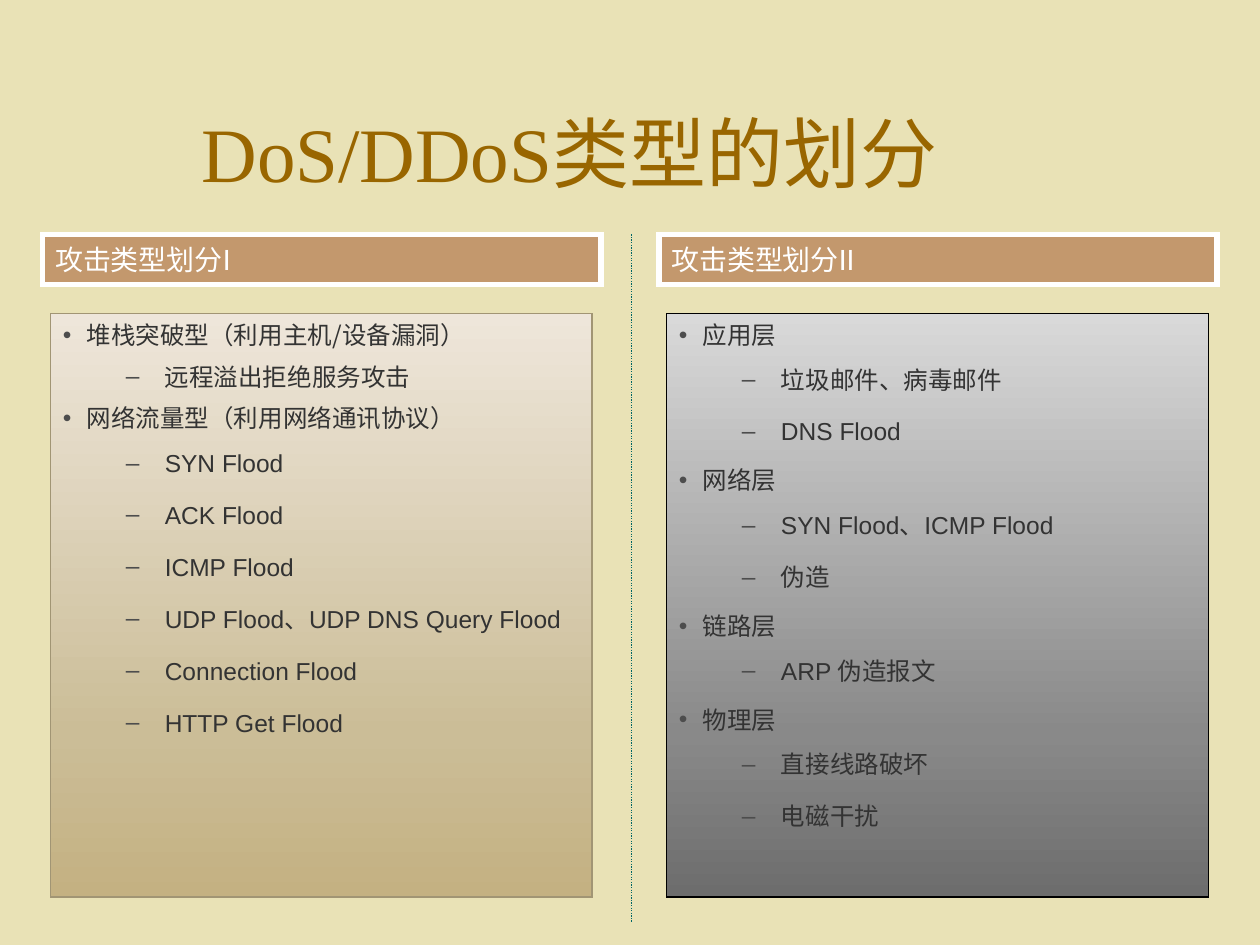
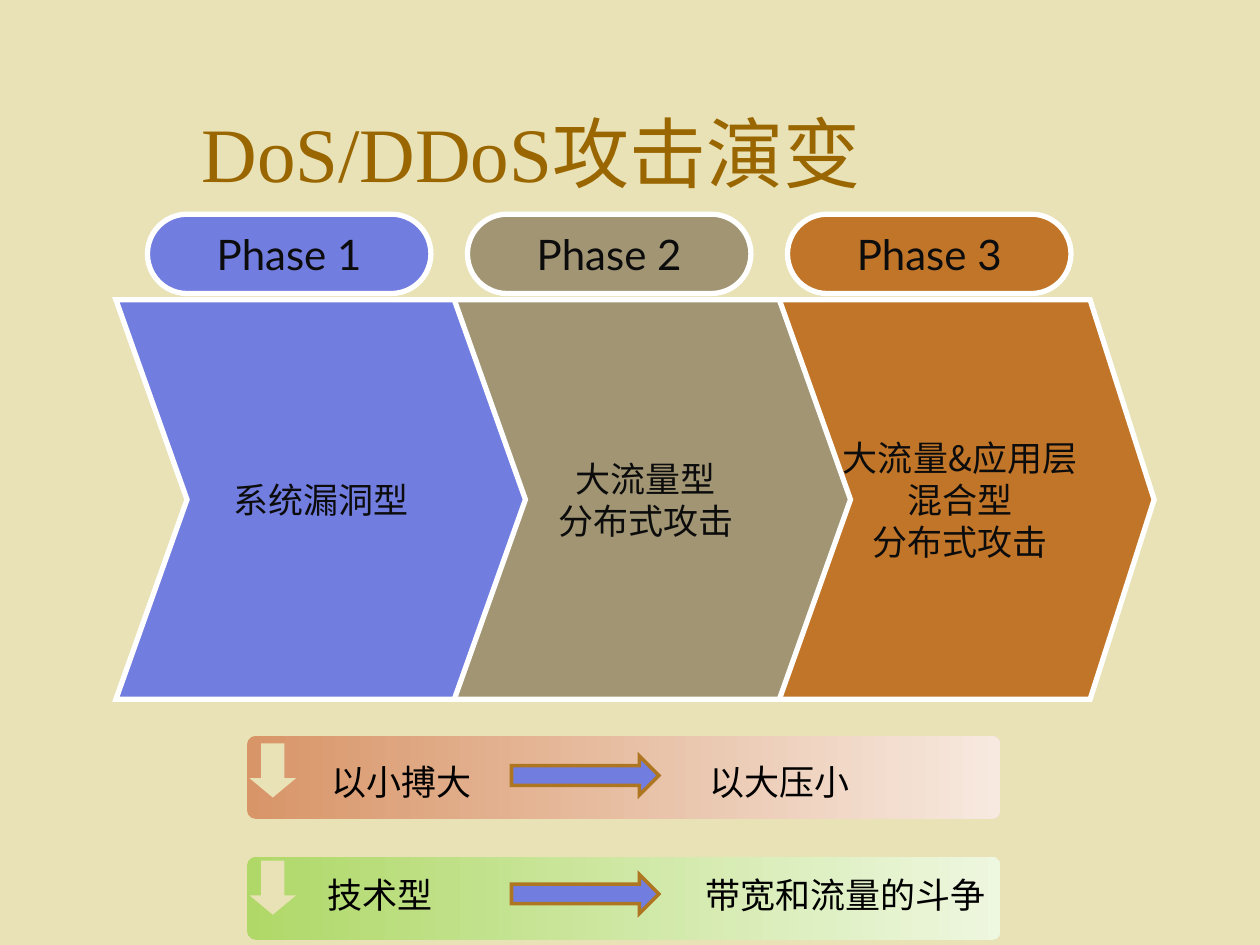
from copy import deepcopy
from lxml import etree
from pptx import Presentation
from pptx.dml.color import RGBColor as RGB
from pptx.enum.dml import MSO_LINE
from pptx.enum.lang import MSO_LANGUAGE_ID as LANG
from pptx.enum.shapes import MSO_CONNECTOR as CONN, MSO_SHAPE as SHAPE
from pptx.enum.text import MSO_ANCHOR as ANCHOR, MSO_AUTO_SIZE as AUTO, PP_ALIGN as ALIGN
from pptx.oxml.ns import qn
from pptx.util import Inches, Pt

C = {"bg": "E9E2B6", "title": "996600", "white": "FFFFFF", "black": "000000",
     "ink": "333333", "dark": "0C0C0C", "bullet": "4D4D4D", "header": "C3986D",
     "divider": "006666", "blue": "727DE0", "olive": "A19574", "orange": "C17529",
     "arrow_edge": "AF7621"}
SERIF, SANS, LATO, CJK = "Times New Roman", "Arial", "Lato", "Noto Sans CJK SC"


def add_box(s, kind, at, fill, line=None, width=3, adj=()):
    sp = s.shapes.add_shape(kind, *[Inches(v) for v in at])
    sp.shadow.inherit = False
    for i, value in enumerate(adj):
        sp.adjustments[i] = value
    if isinstance(fill, str):
        sp.fill.solid()
        sp.fill.fore_color.rgb = RGB.from_string(fill)
    else:
        angle, stops = fill
        sp.fill.gradient()
        sp.fill.gradient_angle = angle
        gs_list = sp._element.spPr.find(".//" + qn("a:gsLst"))
        while len(gs_list) < len(stops):
            gs_list.append(deepcopy(gs_list[0]))
        for gs, (pos, color) in zip(sp.fill.gradient_stops, stops):
            gs.position = pos
            gs.color.rgb = RGB.from_string(color)
    if line:
        sp.line.color.rgb = RGB.from_string(line)
        sp.line.width = Pt(width)
        ln = sp._element.spPr.find(qn("a:ln"))
        etree.SubElement(ln, qn("a:miter")).set("lim", "800000")
    else:
        sp.line.fill.background()
    return sp


def style(p, size, color, latin, east, align=ALIGN.LEFT):
    p.alignment = align
    for r in p.runs:
        r.font.size = Pt(size)
        r.font.color.rgb = RGB.from_string(color)
        r.font.name = latin
        r.font.language_id = LANG.SIMPLIFIED_CHINESE
        ea = etree.SubElement(r._r.get_or_add_rPr(), qn("a:ea"))
        ea.set("typeface", east)


prs = Presentation()
prs.slide_width, prs.slide_height = Inches(10), Inches(7.5)
bg = prs.slide_master.background.fill
bg.solid()
bg.fore_color.rgb = RGB.from_string(C["bg"])

slides = []
for text in ("DoS/DDoS类型的划分", "DoS/DDoS攻击演变"):
    s = prs.slides.add_slide(prs.slide_layouts[5])
    title = s.shapes.title
    title.left, title.top, title.width, title.height = [Inches(v) for v in (1.5, 0.58, 8.25, 1.25)]
    tf = title.text_frame
    tf.text = text
    tf.auto_size = AUTO.NONE
    tf.vertical_anchor = ANCHOR.MIDDLE
    style(tf.paragraphs[0], 44, C["title"], SERIF, SANS)
    slides.append(s)

s = slides[0]
divider = s.shapes.add_connector(CONN.STRAIGHT, *[Inches(v) for v in (5.01, 1.86, 5.01, 7.32)])
divider.line.color.rgb = RGB.from_string(C["divider"])
divider.line.width = Pt(0.75)
divider.line.dash_style = MSO_LINE.ROUND_DOT
etree.SubElement(divider._element.spPr, qn("a:effectLst"))

panels = [
    ("攻击类型划分I", C["olive"], [(0, "EEE6DA"), (0.72, "CBBD97"), (1, "C4B182")], [
        (0, 50, "堆栈突破型（利用主机/设备漏洞）"), (1, 50, "远程溢出拒绝服务攻击"),
        (0, 50, "网络流量型（利用网络通讯协议）"), (1, 80, "SYN Flood"),
        (1, 80, "ACK Flood"), (1, 80, "ICMP Flood"),
        (1, 80, "UDP Flood、UDP DNS Query Flood"),
        (1, 80, "Connection Flood"), (1, 80, "HTTP Get Flood")]),
    ("攻击类型划分II", C["black"], [(0, "D9D9D9"), (0.72, "898989"), (1, "6D6D6D")], [
        (0, 50, "应用层"), (1, 80, "垃圾邮件、病毒邮件"), (1, 80, "DNS Flood"),
        (0, 50, "网络层"), (1, 80, "SYN Flood、ICMP Flood"), (1, 80, "伪造"),
        (0, 50, "链路层"), (1, 80, "ARP 伪造报文"),
        (0, 50, "物理层"), (1, 80, "直接线路破坏"), (1, 80, "电磁干扰")]),
]
LEVELS = [(0.19, -0.19, "•", CJK), (0.81, -0.31, "–", SANS)]
for col, (heading, edge, stops, items) in enumerate(panels):
    x = 0.34 + 4.89 * col
    header = add_box(s, SHAPE.RECTANGLE, (x, 1.86, 4.43, 0.4), C["header"], C["white"])
    tf = header.text_frame
    tf.text = heading
    tf.word_wrap = False
    style(tf.paragraphs[0], 16, C["white"], LATO, CJK)

    panel = add_box(s, SHAPE.RECTANGLE, (x + 0.06, 2.49, 4.3, 4.63), (270, stops), edge, 0.79)
    tf = panel.text_frame
    tf.word_wrap = True
    tf.vertical_anchor = ANCHOR.TOP
    for i, (level, after, text) in enumerate(items):
        p = tf.add_paragraph() if i else tf.paragraphs[0]
        p.text = text
        p.level = level
        left, indent, mark, font = LEVELS[level]
        spread = after == 80
        if spread:
            p.line_spacing = 1.1
        pPr = p._p.get_or_add_pPr()
        pPr.set("marL", str(Inches(left)))
        pPr.set("indent", str(Inches(indent)))
        space = etree.SubElement(pPr, qn("a:spcAft"))
        etree.SubElement(space, qn("a:spcPct")).set("val", str(after * 1000))
        color = etree.SubElement(pPr, qn("a:buClr"))
        etree.SubElement(color, qn("a:srgbClr")).set("val", C["bullet"])
        etree.SubElement(pPr, qn("a:buFont")).set("typeface", SANS)
        etree.SubElement(pPr, qn("a:buChar")).set("char", mark)
        style(p, 14, C["ink"], font, SANS, ALIGN.JUSTIFY if spread else ALIGN.LEFT)

s = slides[1]
phases = [
    (C["blue"], 3.25, 0.178, ["系统漏洞型"]),
    (C["olive"], 3.25, 0.178, ["大流量型", "分布式攻击"]),
    (C["orange"], 3.08, 0.165, ["大流量&应用层", "混合型", "分布式攻击"]),
]
for i, (color, width, point, lines) in reversed(list(enumerate(phases))):
    chevron = add_box(s, SHAPE.CHEVRON, (0.92 + 2.58 * i, 2.38, width, 3.17), color, C["white"], adj=[point])
    pill = add_box(s, SHAPE.ROUNDED_RECTANGLE, (1.17 + 2.54 * i, 1.7, 2.25, 0.63), color, C["white"], adj=[0.5])
    for sp, text, size, font in ((chevron, "\n".join(lines), 20, CJK), (pill, f"Phase {i + 1}", 24, LATO)):
        tf = sp.text_frame
        tf.text = text
        tf.word_wrap = False
        for p in tf.paragraphs:
            style(p, size, C["dark"], font, LATO, ALIGN.CENTER)

shifts = [
    (5.84, 5.93, 6, [(0, "D89568"), (1, "F7E9DF")], (2.53, 5.9, 4.93, 0.48), "以小搏大\t以大压小"),
    (6.8, 6.86, 6.94, [(0, "AFD868"), (1, "EEF7DF")], (2.5, 6.8, 5.55, 0.52), "技术型\t带宽和流量的斗争"),
]
for band_y, down_y, arrow_y, stops, text_at, text in shifts:
    add_box(s, SHAPE.ROUNDED_RECTANGLE, (1.96, band_y, 5.98, 0.66), (0, stops), adj=[0.109])
    down = add_box(s, SHAPE.RIGHT_ARROW, (1.95, down_y, 0.43, 0.37), C["bg"], adj=[0.5, 0.415])
    down.rotation = 90
    tf = s.shapes.add_textbox(*[Inches(v) for v in text_at]).text_frame
    tf.text = text
    tf.word_wrap = True
    tf.auto_size = AUTO.SHAPE_TO_FIT_TEXT
    p = tf.paragraphs[0]
    p.line_spacing = 1.25
    tabs = etree.SubElement(p._p.get_or_add_pPr(), qn("a:tabLst"))
    tab = etree.SubElement(tabs, qn("a:tab"))
    tab.set("pos", str(Inches(3)))
    tab.set("algn", "l")
    style(p, 20, C["black"], SERIF, SANS)
    add_box(s, SHAPE.RIGHT_ARROW, (4.06, arrow_y, 1.17, 0.31), C["blue"], C["arrow_edge"], 2, [0.5, 0.5])

prs.save("out.pptx")
